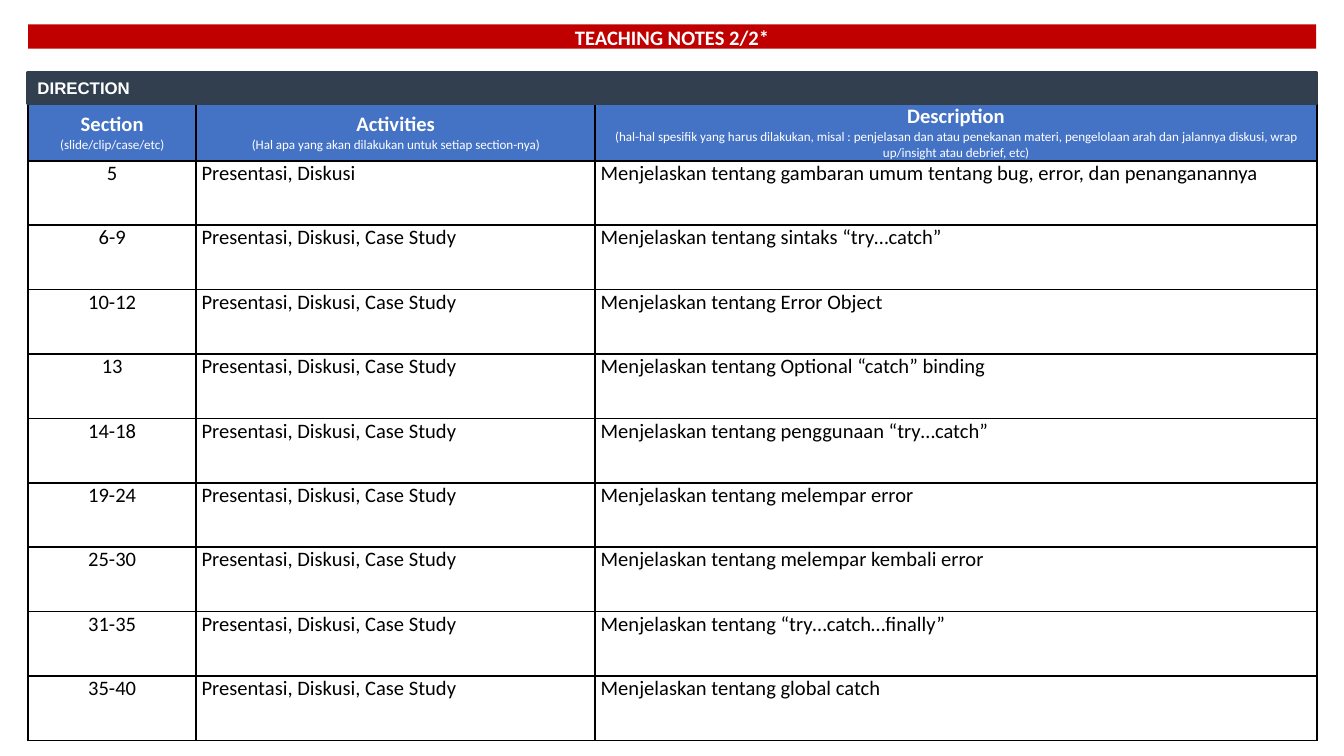
from pptx import Presentation
from pptx.dml.color import RGBColor
from pptx.enum.shapes import MSO_SHAPE as Shape
from pptx.enum.text import MSO_ANCHOR as Anchor, PP_ALIGN as Align
from pptx.oxml import parse_xml
from pptx.oxml.ns import nsdecls
from pptx.util import Pt

TITLE = "TEACHING NOTES 2/2*"
SECTION_BAR = "DIRECTION"
HEADINGS = [
    ("Section", "(slide/clip/case/etc)"),
    ("Activities", "(Hal apa yang akan dilakukan untuk setiap section-nya)"),
    ("Description", "(hal-hal spesifik yang harus dilakukan, misal : penjelasan dan atau "
     "penekanan materi, pengelolaan arah dan jalannya diskusi, wrap up/insight "
     "atau debrief, etc)"),
]
DISCUSSION = "Presentasi, Diskusi"
CASE_STUDY = "Presentasi, Diskusi, Case Study"
TOPIC_PREFIX = "Menjelaskan tentang "
LESSONS = [
    ("5", DISCUSSION, "gambaran umum tentang bug, error, dan penanganannya"),
    ("6-9", CASE_STUDY, "sintaks “try…catch”"),
    ("10-12", CASE_STUDY, "Error Object"),
    ("13", CASE_STUDY, "Optional “catch” binding"),
    ("14-18", CASE_STUDY, "penggunaan “try…catch”"),
    ("19-24", CASE_STUDY, "melempar error"),
    ("25-30", CASE_STUDY, "melempar kembali error"),
    ("31-35", CASE_STUDY, "“try…catch…finally”"),
    ("35-40", CASE_STUDY, "global catch"),
]

THEME = {
    "red": "C00000", "slate": "323F4F", "blue": "4472C4",
    "white": "FFFFFF", "black": "000000",
    "body": 11, "bar": 9, "hint": 7,
    "font": "Calibri", "bar_font": "Arial",
}
LEFT, WIDTH = 15.1, 690
TITLE_TOP, TITLE_HEIGHT = 13, 13
BAR_TOP, BAR_HEIGHT = 38.9, 16.6
COLUMN_WIDTHS = [90, 213.8, 386.6]
HEADER_HEIGHT, ROW_HEIGHT = 26.6, 34.5
CELL_FORMAT = {"margin_left": Pt(2.9), "margin_right": Pt(2.9),
               "margin_top": 0, "margin_bottom": 0}
BAR_FORMAT = {"margin_left": Pt(5), "margin_right": Pt(5), "margin_top": Pt(2.9),
              "margin_bottom": Pt(2.9), "vertical_anchor": Anchor.MIDDLE,
              "word_wrap": True}


def apply(target, values):
    for name, value in values.items():
        setattr(target, name, value)


def paint(fill, colour):
    fill.solid()
    fill.fore_color.rgb = RGBColor.from_string(THEME[colour])


def write(paragraph, text, size, colour, bold=False, align=Align.LEFT, font="font"):
    paragraph.alignment = align
    run = paragraph.add_run()
    run.text = text
    apply(run.font, {"name": THEME[font], "size": Pt(THEME[size]), "bold": bold})
    run.font.color.rgb = RGBColor.from_string(THEME[colour])


def add_bar(slide, top, height, colour):
    """Add a full-width bar and return it with its empty first paragraph."""
    bar = slide.shapes.add_shape(Shape.RECTANGLE, Pt(LEFT), Pt(top), Pt(WIDTH), Pt(height))
    bar.shadow.inherit = False
    paint(bar.fill, colour)
    bar.line.fill.background()
    apply(bar.text_frame, BAR_FORMAT)
    return bar, bar.text_frame.paragraphs[0]


def style_cell(cell, colour):
    apply(cell, CELL_FORMAT)
    properties = cell._tc.get_or_add_tcPr()
    for side in ("lnL", "lnR", "lnT", "lnB"):
        properties.append(parse_xml(
            f'<a:{side} {nsdecls("a")} w="{Pt(1)}"><a:solidFill>'
            f'<a:srgbClr val="{THEME["black"]}"/></a:solidFill></a:{side}>'))
    paint(cell.fill, colour)


def add_lesson_table(slide):
    heights = [HEADER_HEIGHT] + [ROW_HEIGHT] * len(LESSONS)
    table = slide.shapes.add_table(
        len(heights), len(COLUMN_WIDTHS), Pt(LEFT), Pt(BAR_TOP + BAR_HEIGHT),
        Pt(sum(COLUMN_WIDTHS)), Pt(sum(heights))).table
    apply(table, {"first_row": False, "horz_banding": False})
    for column, width in zip(table.columns, COLUMN_WIDTHS):
        column.width = Pt(width)
    for row, height in zip(table.rows, heights):
        row.height = Pt(height)

    for cell, (heading, hint) in zip(table.rows[0].cells, HEADINGS):
        style_cell(cell, "blue")
        cell.vertical_anchor = Anchor.MIDDLE
        frame = cell.text_frame
        write(frame.paragraphs[0], heading, "body", "white", True, Align.CENTER)
        write(frame.add_paragraph(), hint, "hint", "white", align=Align.CENTER)

    alignments = [Align.CENTER, Align.LEFT, Align.LEFT]
    for row, (section, activity, topic) in enumerate(LESSONS, start=1):
        texts = (section, activity, TOPIC_PREFIX + topic)
        for cell, text, align in zip(table.rows[row].cells, texts, alignments):
            style_cell(cell, "white")
            write(cell.text_frame.paragraphs[0], text, "body", "black", align=align)


def main():
    deck = Presentation()
    apply(deck, {"slide_width": Pt(720), "slide_height": Pt(405)})
    slide = deck.slides.add_slide(deck.slide_layouts[6])

    add_lesson_table(slide)

    _, title = add_bar(slide, TITLE_TOP, TITLE_HEIGHT, "red")
    title.line_spacing = 1.07
    write(title, TITLE, "body", "white", True, Align.CENTER)

    direction, label = add_bar(slide, BAR_TOP, BAR_HEIGHT, "slate")
    paint(direction.line.fill, "slate")
    direction.line.width = Pt(2)
    write(label, SECTION_BAR, "bar", "white", True, font="bar_font")

    deck.save("out.pptx")


if __name__ == "__main__":
    main()
